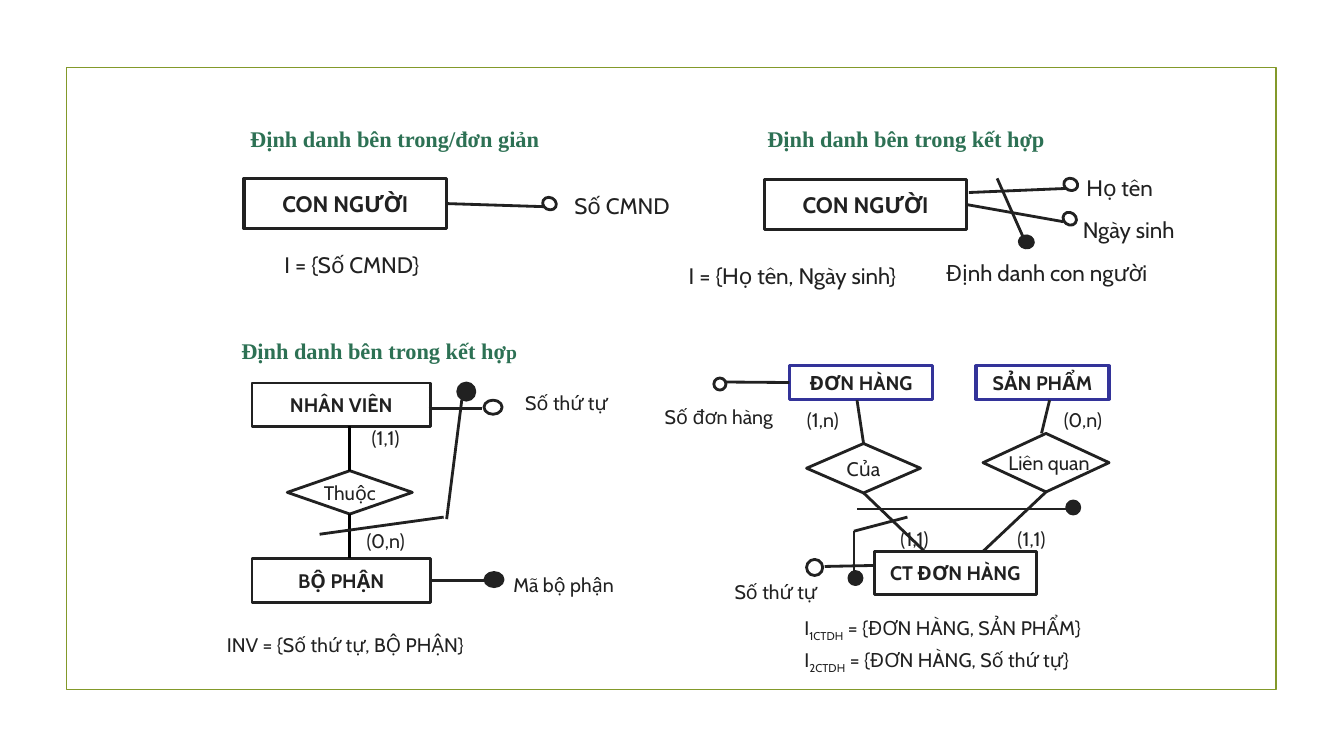
from dataclasses import dataclass

from lxml import etree
from pptx import Presentation
from pptx.dml.color import RGBColor
from pptx.enum.shapes import MSO_CONNECTOR, MSO_SHAPE
from pptx.enum.text import MSO_ANCHOR, PP_ALIGN
from pptx.oxml.ns import qn
from pptx.util import Pt

PX = 9144
COLORS = {"ink": "212121", "heading": "2D7154", "frame": "83992A",
          "blue": "333399", "black": "000000", "white": "FFFFFF"}
BODY_FONT, HEADING_FONT = "Cabin", "Times New Roman"
RECTANGLE, DIAMOND, OVAL = MSO_SHAPE.RECTANGLE, MSO_SHAPE.DIAMOND, MSO_SHAPE.OVAL
STRAIGHT = MSO_CONNECTOR.STRAIGHT
TOP, MIDDLE = MSO_ANCHOR.TOP, MSO_ANCHOR.MIDDLE
LEFT, CENTER = PP_ALIGN.LEFT, PP_ALIGN.CENTER
SIDE_TOP, SIDE_LEFT, SIDE_BOTTOM, SIDE_RIGHT = range(4)


def rgb(name):
    """Return the named colour."""
    return RGBColor.from_string(COLORS[name])


def format_run(run, size, bold=False, color="ink", font=BODY_FONT):
    """Set the font of one run."""
    run.font.name = font
    run.font.size = Pt(size)
    run.font.bold = bold
    run.font.color.rgb = rgb(color)


def fill_text(shape, text, size, anchor=MIDDLE, align=CENTER, margin=None, **style):
    """Put one formatted paragraph into a shape."""
    frame = shape.text_frame
    frame.word_wrap = True
    frame.vertical_anchor = anchor
    if margin is not None:
        frame.margin_left = frame.margin_right = margin
        frame.margin_top = frame.margin_bottom = margin
    frame.text = text
    paragraph = frame.paragraphs[0]
    paragraph.alignment = align
    format_run(paragraph.runs[0], size, **style)
    return paragraph


@dataclass
class Region:
    """Drawing area whose parts are placed from its top left corner."""

    slide: object
    left: int
    top: int

    def place(self, x, y):
        """Turn a point of the region into slide lengths."""
        return (self.left + x) * PX, (self.top + y) * PX

    def outline(self, kind, x, y, width, height, fill="white", color="ink", weight=2):
        """Add a preset shape with an outline."""
        shape = self.slide.shapes.add_shape(kind, *self.place(x, y), width * PX, height * PX)
        shape.shadow.inherit = False
        if fill:
            shape.fill.solid()
            shape.fill.fore_color.rgb = rgb(fill)
        else:
            shape.fill.background()
        shape.line.color.rgb = rgb(color)
        shape.line.width = Pt(weight)
        return shape

    def entity(self, x, y, width, height, text, size=14, color="ink", weight=2):
        """Add an entity rectangle."""
        shape = self.outline(RECTANGLE, x, y, width, height, color=color, weight=weight)
        fill_text(shape, text, size, bold=True)
        return shape

    def relation(self, x, y, width, height, text="", fill="white"):
        """Add a relationship diamond."""
        shape = self.outline(DIAMOND, x, y, width, height, fill)
        if text:
            fill_text(shape, text, 14, margin=0)
        return shape

    def dot(self, x, y, width, height, fill="white", rotation=0):
        """Add an attribute circle."""
        self.outline(OVAL, x, y, width, height, fill).rotation = rotation

    def label(self, x, y, width, height, text, size=14, anchor=TOP, **style):
        """Add a text box and return its paragraph."""
        box = self.slide.shapes.add_textbox(*self.place(x, y), width * PX, height * PX)
        return fill_text(box, text, size, anchor, **style)

    def heading(self, x, y, width, text):
        """Add a green heading."""
        return self.label(x, y, width, 37, text, 16, bold=True,
                          color="heading", font=HEADING_FONT)

    def line(self, start, end, color="ink"):
        """Add a straight line between two points."""
        connector = self.slide.shapes.add_connector(
            STRAIGHT, *self.place(*start), *self.place(*end))
        connector.line.color.rgb = rgb(color)
        connector.line.width = Pt(2)
        etree.SubElement(connector._element.spPr, qn("a:effectLst"))
        return connector

    def link(self, shape, side, end, color="ink"):
        """Add a line joined to the middle of a shape's side."""
        self.line(end, end, color).begin_connect(shape, side)


def draw_simple_identifier(slide, left, top):
    """Draw the entity with a single identifier."""
    region = Region(slide, left, top)
    region.heading(6, 4, 371, "Định danh bên trong/đơn giản")
    person = region.entity(42, 62, 201, 50, "CON NGƯỜI", 16, weight=2.25)
    region.link(person, SIDE_RIGHT, (339, 90))
    region.dot(338, 81, 14, 12, rotation=28)
    region.label(352, 71, 130, 37, "Số CMND", 16)
    region.label(50, 129, 198, 40, "I = {Số CMND}", 16)


def draw_composite_identifier(slide, left, top):
    """Draw the entity identified by two attributes."""
    region = Region(slide, left, top)
    region.heading(84, 4, 349, "Định danh bên trong kết hợp")
    person = region.entity(118, 63, 201, 50, "CON NGƯỜI", 16, weight=2.25)
    region.link(person, SIDE_RIGHT, (415, 105))
    region.line((321, 76), (417, 72))
    region.line((349, 62), (376, 123))
    region.dot(414, 96, 14, 12, rotation=37)
    region.dot(415, 62, 14, 12, rotation=23)
    region.dot(371, 119, 14, 12, "ink", rotation=7)
    region.label(421, 53, 99, 37, "Họ tên", 16)
    region.label(412, 95, 135, 37, "Ngày sinh", 16)
    region.label(267, 137, 262, 37, "Định danh con người", 16)
    region.label(2, 137, 288, 42, "I = {Họ tên, Ngày sinh}", 16, MIDDLE)


def draw_employee_diagram(slide, left, top):
    """Draw the employee and department diagram."""
    region = Region(slide, left, top)
    paragraph = region.heading(0, 0, 302, "Định danh bên trong kết hợ")
    last_letter = paragraph.add_run()
    last_letter.text = "p"
    format_run(last_letter, 14, True, "heading", HEADING_FONT)
    region.entity(25, 50, 177, 43, "NHÂN VIÊN")
    belongs = region.relation(60, 137, 124, 43, "Thuộc")
    department = region.entity(25, 224, 177, 44, "BỘ PHẬN")
    region.link(belongs, SIDE_TOP, (122, 93), "black")
    region.link(belongs, SIDE_BOTTOM, (122, 224), "black")
    region.link(department, SIDE_RIGHT, (255, 246))
    region.dot(256, 238, 18, 14, "ink")
    region.line((200, 75), (253, 75))
    region.dot(255, 67, 18, 14, None)
    region.line((92, 200), (215, 183))
    region.line((218, 185), (233, 67))
    region.dot(229, 50, 17, 17, "ink")
    for x, y, width, text in ((272, 238, 124, "Mã bộ phận"), (275, 58, 124, "Số thứ tự"),
                              (131, 93, 53, "(1,1)"), (131, 195, 53, "(0,n)")):
        region.label(x, y, width, 29, text, margin=0)
    region.label(0, 292, 333, 35, "INV = {Số thứ tự, BỘ PHẬN}",
                 anchor=MIDDLE, align=LEFT, margin=0)


def draw_order_diagram(slide, left, top):
    """Draw the order, product and order line diagram."""
    region = Region(slide, left, top)
    owner = region.relation(145, 80, 113, 49, "Của", None)
    order = region.entity(128, 3, 142, 33, "ĐƠN HÀNG", color="blue", weight=2.25)
    region.entity(313, 3, 132, 33, "SẢN PHẨM", color="blue", weight=2.25)
    region.entity(212, 187, 161, 43, "CT ĐƠN HÀNG")
    related = region.relation(320, 70, 125, 58, fill=None)
    region.label(323, 82, 125, 34, "Liên quan")
    region.link(owner, SIDE_TOP, (195, 37))
    region.link(owner, SIDE_BOTTOM, (262, 187))
    region.link(related, SIDE_BOTTOM, (320, 187))
    region.link(order, SIDE_LEFT, (65, 19))
    for start, end in (((386, 37), (378, 70)), ((211, 201), (163, 202)),
                       ((245, 153), (192, 167)), ((192, 167), (192, 207)),
                       ((195, 145), (403, 145))):
        region.line(start, end)
    region.dot(53, 15, 12, 12)
    region.dot(145, 195, 16, 16, None)
    region.dot(187, 207, 13, 13, "ink")
    region.dot(403, 137, 13, 13, "ink")
    region.label(4, 28, 108, 50, "Số đơn hàng", anchor=MIDDLE, margin=0)
    region.label(67, 207, 95, 39, "Số thứ tự", anchor=MIDDLE, margin=0)
    for x, y, width, text in ((228, 163, 48, "(1,1)"), (337, 163, 62, "(1,1)"),
                              (395, 45, 48, "(0,n)"), (137, 45, 48, "(1,n)")):
        region.label(x, y, width, 32, text, margin=0)
    for y, index, members in ((246, "1CTDH", "SẢN PHẨM"), (278, "2CTDH", "Số thứ tự")):
        paragraph = region.label(133, y, 349, 41, "I", align=LEFT)
        subscript, rest = paragraph.add_run(), paragraph.add_run()
        subscript.text = index
        rest.text = f" = {{ĐƠN HÀNG, {members}}}"
        format_run(subscript, 14)
        format_run(rest, 14)
        subscript._r.get_or_add_rPr().set("baseline", "-25000")


def main():
    """Build the slide and save it."""
    presentation = Presentation()
    presentation.slide_width, presentation.slide_height = 1333 * PX, 750 * PX
    slide = presentation.slides.add_slide(presentation.slide_layouts[6])
    Region(slide, 66, 67).outline(RECTANGLE, 0, 0, 1200, 617, None, "frame", 1.25)
    draw_simple_identifier(slide, 200, 115)
    draw_composite_identifier(slide, 640, 115)
    draw_employee_diagram(slide, 225, 330)
    draw_order_diagram(slide, 655, 360)
    presentation.save("out.pptx")


if __name__ == "__main__":
    main()
